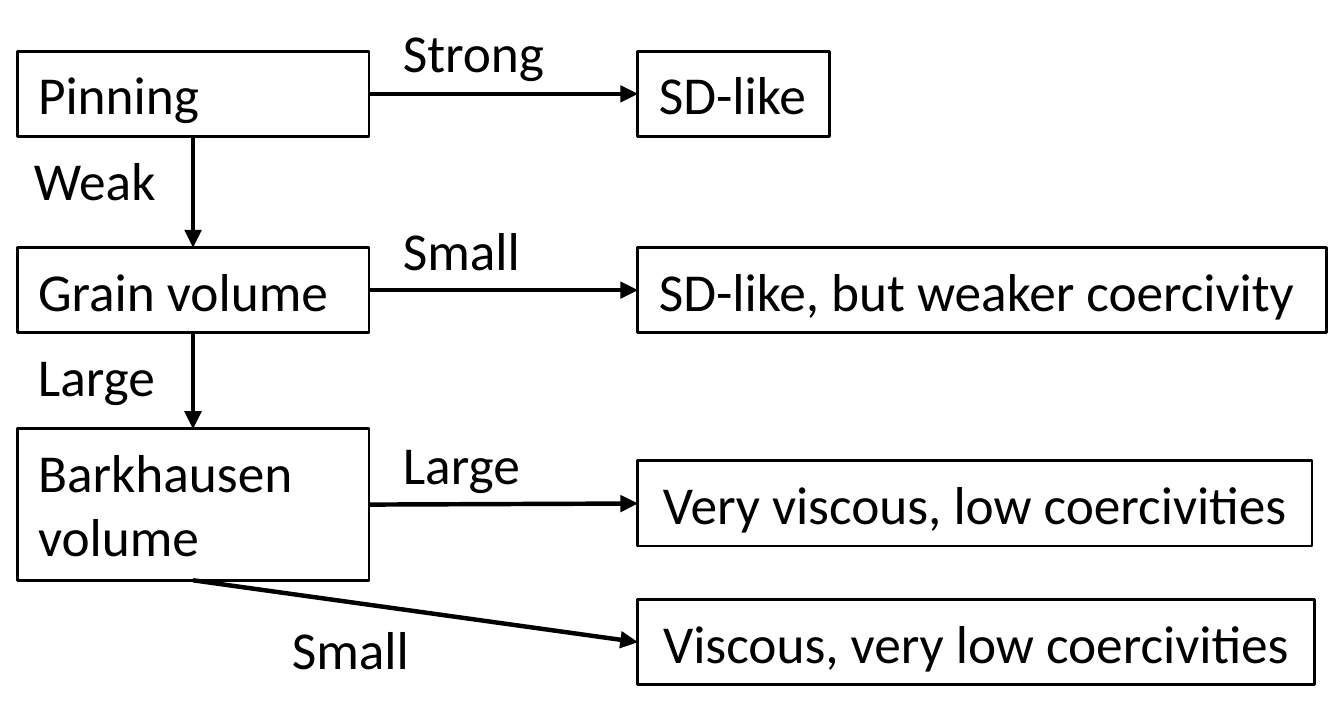
import pptx
import pptx.dml.color
import pptx.enum.shapes
import pptx.enum.text
import pptx.oxml
import pptx.oxml.ns
import pptx.util
from pptx.util import Inches

BLACK = "000000"
WHITE = "FFFFFF"
LINE_HEIGHT = 0.4
QUESTION_LEFT, QUESTION_WIDTH = 0.08, 1.65
OUTCOME_LEFT = 2.99
BRANCH_LEFT = 1.79
# Connection sites of a rectangle
TOP, LEFT, BOTTOM, RIGHT = range(4)


def color(hex_code):
    return pptx.dml.color.RGBColor.from_string(hex_code)


def write(shape, text, wrap, align):
    frame = shape.text_frame
    frame.word_wrap = wrap
    frame.auto_size = pptx.enum.text.MSO_AUTO_SIZE.SHAPE_TO_FIT_TEXT
    frame.vertical_anchor = pptx.enum.text.MSO_ANCHOR.TOP
    paragraph = frame.paragraphs[0]
    paragraph.text = text
    paragraph.alignment = align
    paragraph.font.name = "Calibri"
    paragraph.font.size = pptx.util.Pt(18)
    paragraph.font.color.rgb = color(BLACK)


def add_box(slide, text, left, top, width, height=LINE_HEIGHT, wrap=True,
            align=pptx.enum.text.PP_ALIGN.LEFT):
    box = slide.shapes.add_shape(
        pptx.enum.shapes.MSO_SHAPE.RECTANGLE,
        Inches(left), Inches(top), Inches(width), Inches(height))
    box.shadow.inherit = False
    box.fill.solid()
    box.fill.fore_color.rgb = color(WHITE)
    box.line.color.rgb = color(BLACK)
    box.line.width = pptx.util.Pt(1)
    write(box, text, wrap, align)
    return box


def add_label(slide, text, left, top, width=0.76):
    label = slide.shapes.add_textbox(
        Inches(left), Inches(top), Inches(width), Inches(LINE_HEIGHT))
    write(label, text, False, pptx.enum.text.PP_ALIGN.LEFT)


def add_arrow(slide, start, start_site, end, end_site):
    """Glue a straight arrow to one connection site on each box."""
    arrow = slide.shapes.add_connector(
        pptx.enum.shapes.MSO_CONNECTOR.STRAIGHT, 0, 0, 0, 0)
    arrow.begin_connect(start, start_site)
    arrow.end_connect(end, end_site)
    arrow.line.color.rgb = color(BLACK)
    arrow.line.width = pptx.util.Pt(1.5)
    namespace = pptx.oxml.ns.nsdecls("a")
    properties = arrow._element.spPr
    properties.find(pptx.oxml.ns.qn("a:ln")).append(
        pptx.oxml.parse_xml(f'<a:tailEnd {namespace} type="triangle"/>'))
    properties.append(pptx.oxml.parse_xml(f'<a:effectLst {namespace}/>'))


def main():
    deck = pptx.Presentation()
    deck.slide_width = pptx.util.Cm(16)
    deck.slide_height = pptx.util.Cm(8.5)
    slide = deck.slides.add_slide(deck.slide_layouts[6])
    left_align = pptx.enum.text.PP_ALIGN.LEFT
    center = pptx.enum.text.PP_ALIGN.CENTER

    pinning, grain, barkhausen = [
        add_box(slide, text, QUESTION_LEFT, top, QUESTION_WIDTH, height)
        for text, top, height in (
            ("Pinning", 0.24, LINE_HEIGHT),
            ("Grain volume", 1.16, LINE_HEIGHT),
            ("Barkhausen volume", 2.01, 0.71),
        )]
    strong, weaker, very_viscous, viscous = [
        add_box(slide, text, OUTCOME_LEFT, top, width, wrap=wrap, align=align)
        for text, top, width, wrap, align in (
            ("SD-like", 0.24, 0.9, False, left_align),
            ("SD-like, but weaker coercivity", 1.16, 3.23, True, left_align),
            ("Very viscous, low coercivities", 2.16, 3.16, False, center),
            ("Viscous, very low coercivities", 2.81, 3.17, False, center),
        )]

    for question, outcome in ((pinning, strong), (grain, weaker),
                              (barkhausen, very_viscous)):
        add_arrow(slide, question, RIGHT, outcome, LEFT)
    for question, following in ((pinning, grain), (grain, barkhausen)):
        add_arrow(slide, question, BOTTOM, following, TOP)
    add_arrow(slide, barkhausen, BOTTOM, viscous, LEFT)

    add_label(slide, "Strong", BRANCH_LEFT, 0.04, 0.87)
    add_label(slide, "Small", BRANCH_LEFT, 0.97)
    add_label(slide, "Large", BRANCH_LEFT, 1.97)
    add_label(slide, "Weak", 0.06, 0.64, 0.78)
    add_label(slide, "Large", QUESTION_LEFT, 1.56)
    add_label(slide, "Small", 1.27, 2.84)

    deck.save("out.pptx")


if __name__ == "__main__":
    main()
